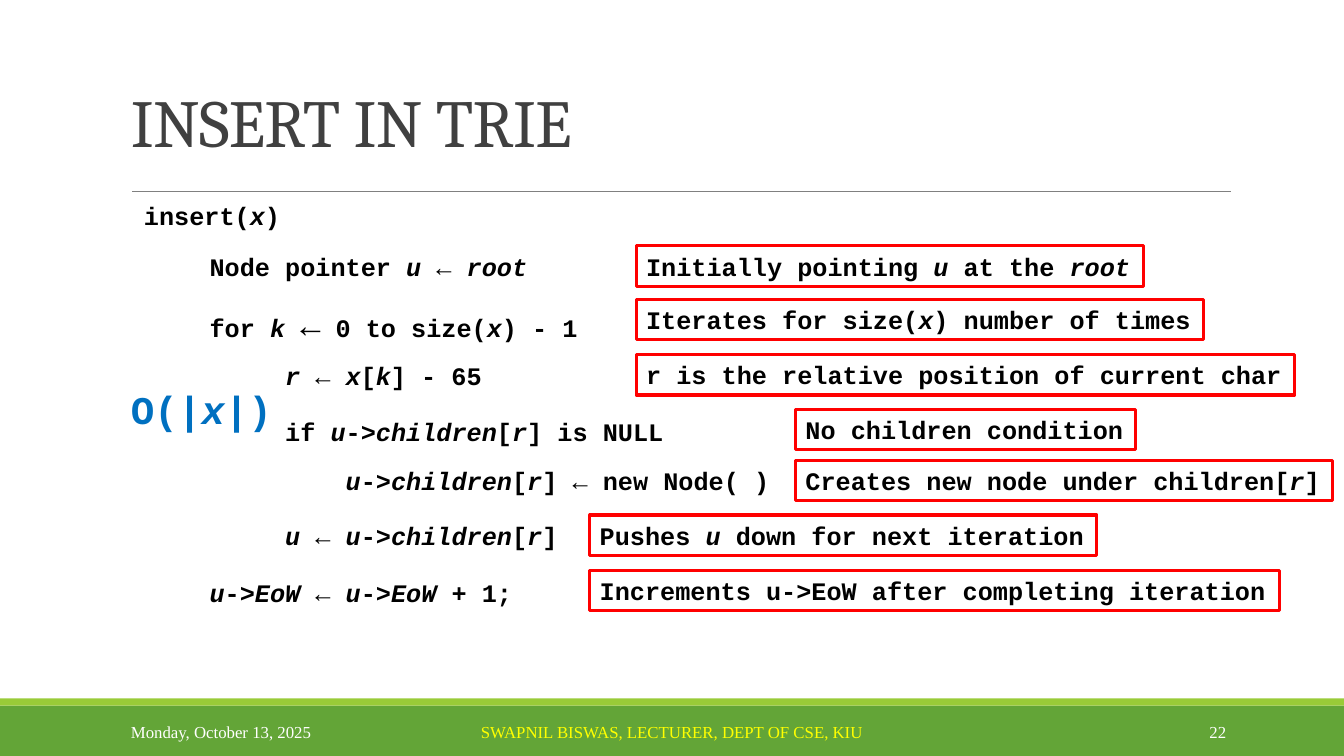
"""Build the slide that explains insertion in a trie."""
from dataclasses import dataclass

from pptx import Presentation
from pptx.dml.color import RGBColor
from pptx.enum import shapes, text
from pptx.oxml import ns
from pptx.util import Inches, Pt


@dataclass(frozen=True)
class Theme:
    code_font: str = "Courier New"
    title_font: str = "Cambria"
    footer_font: str = "Times New Roman"
    code_size: int = 18
    loop_arrow_size: int = 24
    cost_size: int = 28
    title_size: int = 48
    footer_size: int = 12
    black: str = "000000"
    white: str = "FFFFFF"
    yellow: str = "FFFF00"
    red: str = "FF0000"
    blue: str = "0070C0"
    title: str = "404040"
    rule: str = "808080"
    band: str = "63A537"
    strip: str = "99CB38"


theme = Theme()
presentation = Presentation()
presentation.slide_width = Inches(13.33)
presentation.slide_height = Inches(7.5)
slide = presentation.slides.add_slide(presentation.slide_layouts[6])


def add_text(box, content, font, size, color, anchor, align=text.PP_ALIGN.LEFT):
    """Place one plain line of text in a box and return its paragraph."""
    text_box = slide.shapes.add_textbox(*map(Inches, box))
    text_box.text_frame.word_wrap = True
    text_box.text_frame.vertical_anchor = anchor
    paragraph = text_box.text_frame.paragraphs[0]
    paragraph.text = content
    paragraph.alignment = align
    run = paragraph.runs[0]
    run.font.name, run.font.size = font, Pt(size)
    run.font.color.rgb = RGBColor.from_string(color)
    return paragraph


def add_code(box, markup, size, color, arrow_size=theme.code_size):
    """Place a bold code line, with *italic* parts and light arrows."""
    text_box = slide.shapes.add_textbox(*map(Inches, box))
    text_box.text_frame.word_wrap = False
    text_box.text_frame.auto_size = text.MSO_AUTO_SIZE.SHAPE_TO_FIT_TEXT
    paragraph = text_box.text_frame.paragraphs[0]
    for index, part in enumerate(markup.split("*")):
        for piece in filter(None, part.replace("←", "~←~").split("~")):
            run = paragraph.add_run()
            run.text = piece
            is_arrow = piece == "←"
            run.font.name = theme.code_font
            run.font.size = Pt(arrow_size if is_arrow else size)
            run.font.bold = not is_arrow
            run.font.italic = index % 2 == 1
            run.font.color.rgb = RGBColor.from_string(color)
    return text_box


for top, height, color in [(7, 0.5, theme.band), (6.93, 0.07, theme.strip)]:
    band = slide.shapes.add_shape(
        shapes.MSO_SHAPE.RECTANGLE, 0, Inches(top), presentation.slide_width, Inches(height))
    band.shadow.inherit = False
    band.fill.solid()
    band.fill.fore_color.rgb = RGBColor.from_string(color)
    band.line.fill.background()

rule = slide.shapes.add_connector(
    shapes.MSO_CONNECTOR.STRAIGHT, Inches(1.31), Inches(1.9), Inches(12.21), Inches(1.9))
rule.line.color.rgb = RGBColor.from_string(theme.rule)
rule.line.width = Pt(0.5)
rule._element.spPr.append(rule._element.makeelement(ns.qn("a:effectLst"), {}))

title = add_text((1.2, 0.06, 11, 1.59), "INSERT IN TRIE", theme.title_font,
                 theme.title_size, theme.title, text.MSO_ANCHOR.BOTTOM)
title.line_spacing = 0.85
title.runs[0]._r.get_or_add_rPr().set("spc", "-50")

footers = [
    (1.2, 2.7, "Monday, October 13, 2025", theme.white, text.PP_ALIGN.LEFT),
    (4.03, 5.27, "SWAPNIL BISWAS, LECTURER, DEPT OF CSE, KIU", theme.yellow, text.PP_ALIGN.CENTER),
    (10.83, 1.43, "22", theme.white, text.PP_ALIGN.RIGHT),
]
for left, width, content, color, align in footers:
    add_text((left, 7.06, width, 0.4), content, theme.footer_font,
             theme.footer_size, color, text.MSO_ANCHOR.MIDDLE, align)

code_lines = [
    (1.33, 1.94, 1.56, "insert(*x*)"),
    (1.98, 2.44, 3.37, "Node pointer *u *← *root*"),
    (2.73, 3.53, 2.16, "*r *← *x*[*k*] - 65"),
    (2.73, 4.08, 4.12, "if *u*->*children*[*r*] is NULL"),
    (3.33, 4.57, 4.42, "*u*->*children*[*r*] ← new Node( )"),
    (2.73, 5.11, 2.92, "*u *← *u*->*children*[*r*]"),
    (1.98, 5.68, 3.22, "*u*->*EoW *← *u*->*EoW* + 1;"),
]
for left, top, width, markup in code_lines:
    add_code((left, top, width, 0.4), markup, theme.code_size, theme.black)
add_code((1.98, 2.97, 3.87, 0.5), "for *k *← 0 to size(*x*) - 1",
         theme.code_size, theme.black, theme.loop_arrow_size)

notes = [
    (6.31, 2.44, 5.03, "Initially pointing *u* at the *root*"),
    (6.31, 2.97, 5.63, "Iterates for size(*x*) number of times"),
    (6.31, 3.52, 6.53, "r is the relative position of current char"),
    (7.89, 4.06, 3.37, "No children condition"),
    (7.89, 4.57, 5.33, "Creates new node under children[*r*]"),
    (5.85, 5.11, 5.03, "Pushes *u* down for next iteration"),
    (5.85, 5.66, 6.84, "Increments u->EoW after completing iteration"),
]
for left, top, width, markup in notes:
    note = add_code((left, top, width, 0.4), markup, theme.code_size, theme.black)
    note.line.color.rgb = RGBColor.from_string(theme.red)
    note.line.width = Pt(2.25)

add_code((1.2, 3.77, 1.61, 0.57), "O(|*x*|)", theme.cost_size, theme.blue)

presentation.save("out.pptx")
